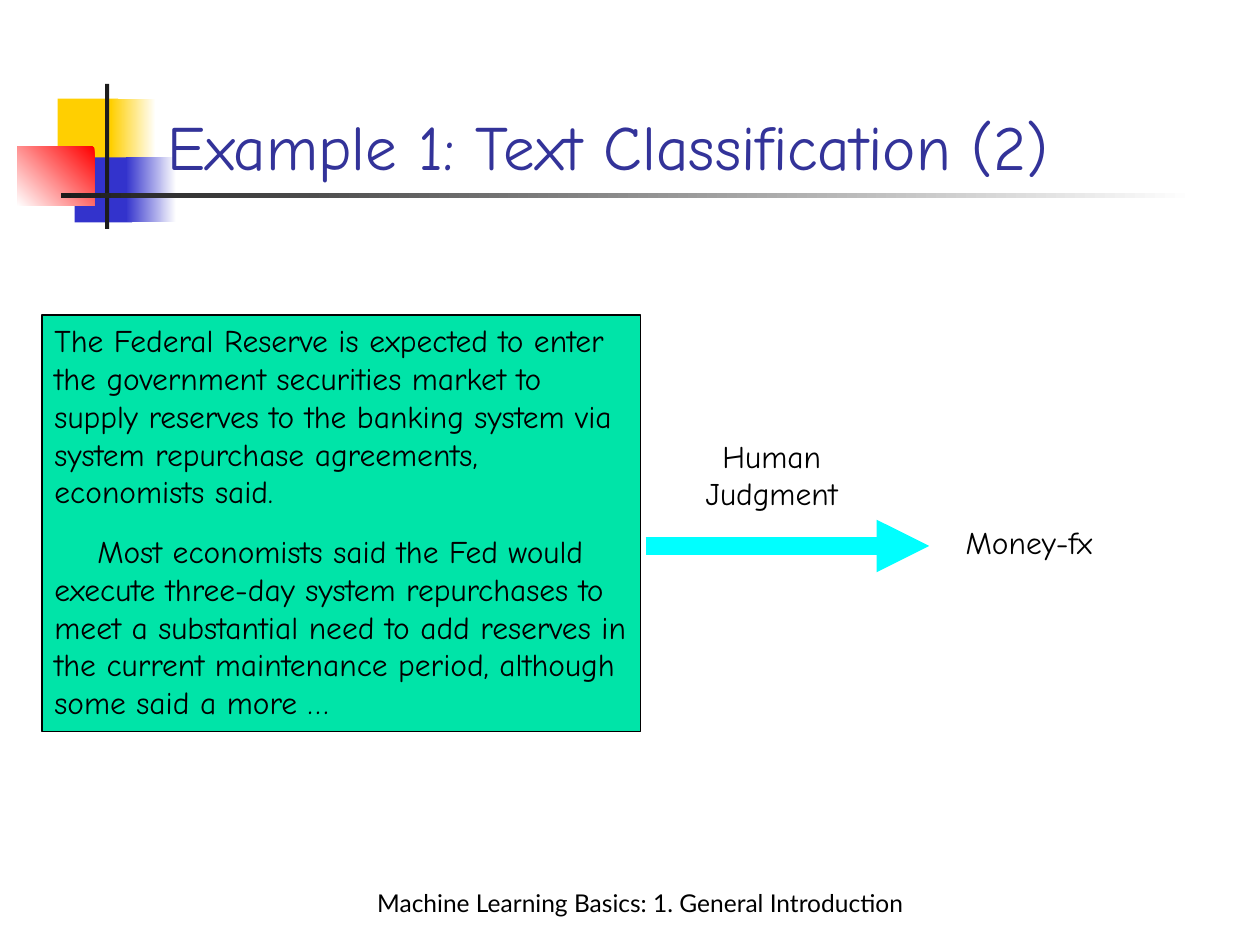
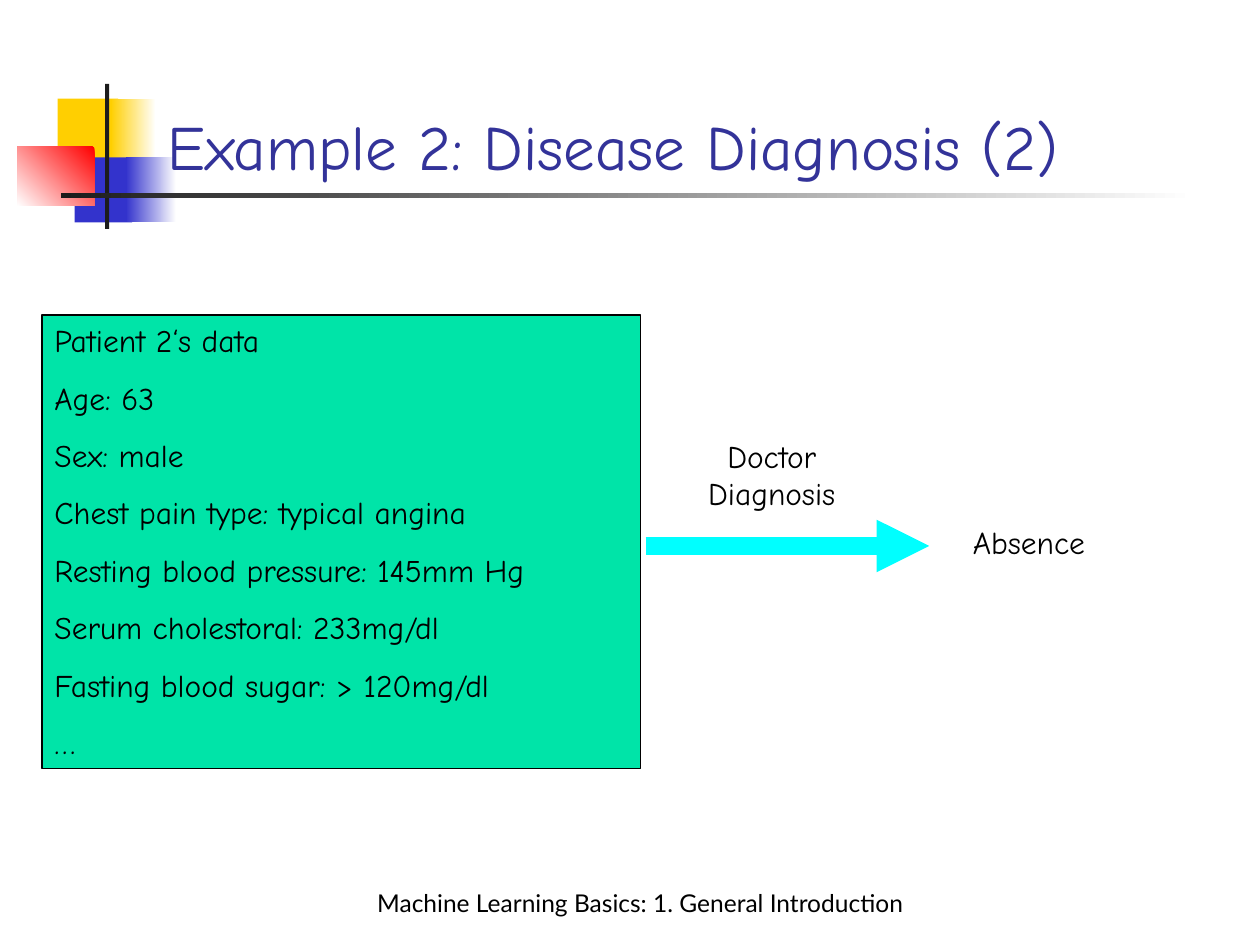
from lxml import etree
from pptx import Presentation
from pptx.dml.color import RGBColor
from pptx.enum.shapes import MSO_CONNECTOR, MSO_SHAPE
from pptx.enum.text import MSO_ANCHOR, MSO_AUTO_SIZE, PP_ALIGN
from pptx.oxml.ns import qn
from pptx.util import Inches, Pt

RECT, STRAIGHT = MSO_SHAPE.RECTANGLE, MSO_CONNECTOR.STRAIGHT
TOP, BOTTOM = MSO_ANCHOR.TOP, MSO_ANCHOR.BOTTOM
LEFT, CENTER = PP_ALIGN.LEFT, PP_ALIGN.CENTER

WIDTH, HEIGHT = Inches(10), Inches(7.5)
COLUMNS, ROWS = 120, 90
TITLE_ONLY = 5
COLORS = {
    "title": "333399", "text": "000000", "card": "00E4A8", "arrow": "00FFFF",
    "yellow": "FFCF01", "blue": "3333CC", "red": "FF0000",
    "rule": "1C1C1C", "white": "FFFFFF",
}
HAND, SANS = "Comic Neue", "Lato"
FOOTER = "Machine Learning Basics: 1. General Introduction"

# Grid box, colours (two make a gradient), gradient angle
DECORATION = [
    ((5.5, 9.4, 5.75, 6.2), ["yellow"], 0),
    ((10.55, 9.4, 4.3, 6.2), ["white", "yellow"], 180),
    ((7.1, 15, 5.5, 6.2), ["blue"], 0),
    ((12, 15, 4.8, 6.2), ["white", "blue"], 180),
    ((1.65, 14, 7.35, 5.6), ["red", "white"], 225),
    ((10, 8, 0.4, 13.8), ["rule"], 0),
    ((5.8, 18.4, 108, 0.42), ["white", "rule"], 180),
]

EXAMPLES = [
    {
        "title": "Example 1: Text Classification (2)",
        "input": [
            "The Federal Reserve is expected to enter the government securities "
            "market to supply reserves to the banking system via system "
            "repurchase agreements, economists said.",
            "Most economists said the Fed would execute three-day system "
            "repurchases to meet a substantial need to add reserves in the "
            "current maintenance period, although some said a more …",
        ],
        "rows": 39.7, "gap": 12.5, "indent": 0.34,
        "judge": "Human Judgment", "label": "Money-fx",
    },
    {
        "title": "Example 2: Disease Diagnosis (2)",
        "input": [
            "Patient 2‘s data", "Age: 63", "Sex: male",
            "Chest pain type: typical angina",
            "Resting blood pressure: 145mm Hg",
            "Serum cholestoral: 233mg/dl",
            "Fasting blood sugar: > 120mg/dl", "…",
        ],
        "rows": 43.2, "gap": 11.2, "indent": 0,
        "judge": "Doctor Diagnosis", "label": "Absence",
    },
]


def color(name):
    return RGBColor.from_string(COLORS[name])


def grid(x, y, *size):
    """Turn columns and rows into slide lengths."""
    units = (WIDTH / COLUMNS, HEIGHT / ROWS) * 2
    return [int(n * unit) for n, unit in zip((x, y, *size), units)]


def write(sp, lines, size=18, font=HAND, ink="text", align=CENTER,
          anchor=TOP, gap=0, indent=0):
    """Fill a shape with paragraphs; gap and indent start at the second."""
    tf = sp.text_frame
    tf.text = "\n".join(lines)
    tf.word_wrap = True
    tf.auto_size = MSO_AUTO_SIZE.NONE
    tf.vertical_anchor = anchor
    for i, p in enumerate(tf.paragraphs):
        p.alignment = align
        if i:
            p.space_before = Pt(gap)
            p._p.get_or_add_pPr().set("indent", str(Inches(indent)))
        for r in p.runs:
            r.font.size, r.font.name = Pt(size), font
            r.font.color.rgb = color(ink)


def add_block(slide, box, fills, angle=0):
    sp = slide.shapes.add_shape(RECT, *grid(*box))
    sp.shadow.inherit = False
    sp.line.fill.background()
    if len(fills) == 1:
        sp.fill.solid()
        sp.fill.fore_color.rgb = color(fills[0])
    else:
        sp.fill.gradient()
        sp.fill.gradient_angle = angle
        for stop, position, name in zip(sp.fill.gradient_stops, (0, 1), fills):
            stop.position = position
            stop.color.rgb = color(name)
    return sp


def decorate_layout(slide):
    """Draw the shared ornament and move it to the slide's layout."""
    tree = slide.slide_layout.shapes.element
    for box, fills, angle in DECORATION:
        tree.append(add_block(slide, box, fills, angle).element)


def add_title(slide, text):
    sp = slide.shapes.title
    sp.left, sp.top, sp.width, sp.height = grid(14.75, 6, 102.25, 12)
    write(sp, [text], 36, ink="title", align=LEFT, anchor=BOTTOM)


def add_label(slide, box, text, **style):
    write(slide.shapes.add_textbox(*grid(*box)), [text], **style)


def add_input_card(slide, example):
    sp = add_block(slide, (4, 30, 57, example["rows"]), ["card"])
    sp.line.color.rgb = color("text")
    sp.line.width = Pt(0.75)
    write(sp, example["input"], align=LEFT, gap=example["gap"],
          indent=example["indent"])


def add_arrow(slide, start, end):
    line = slide.shapes.add_connector(STRAIGHT, *grid(*start), *grid(*end))
    line.line.color.rgb = color("arrow")
    line.line.width = Pt(10)
    etree.SubElement(line.line._get_or_add_ln(), qn("a:tailEnd"), type="triangle")
    etree.SubElement(line.element.spPr, qn("a:effectLst"))


def add_example(slide, example):
    add_title(slide, example["title"])
    add_input_card(slide, example)
    add_arrow(slide, (61.5, 52), (88.5, 52))
    add_label(slide, (64, 41, 19, 8.4), example["judge"])
    add_label(slide, (89, 49.2, 18, 4.8), example["label"])
    add_label(slide, (10, 82, 102, 6), FOOTER, size=14, font=SANS, anchor=BOTTOM)


def main():
    prs = Presentation()
    prs.slide_width, prs.slide_height = WIDTH, HEIGHT
    layout = prs.slide_layouts[TITLE_ONLY]
    for i, example in enumerate(EXAMPLES):
        slide = prs.slides.add_slide(layout)
        if i == 0:
            decorate_layout(slide)
        add_example(slide, example)
    prs.save("out.pptx")


if __name__ == "__main__":
    main()
